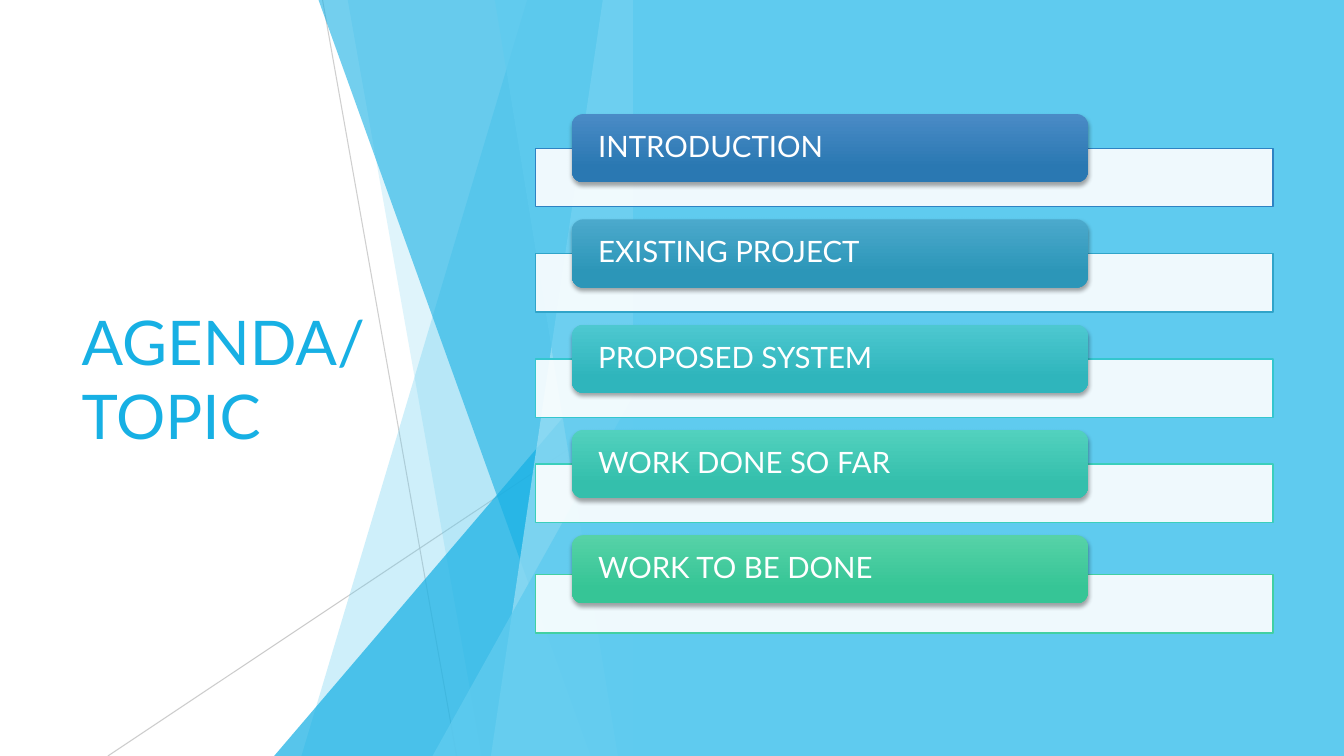
from lxml import etree
from pptx import Presentation
from pptx.dml.color import RGBColor
from pptx.enum.shapes import MSO_CONNECTOR, MSO_SHAPE
from pptx.enum.text import MSO_ANCHOR, PP_ALIGN
from pptx.oxml.ns import qn
from pptx.util import Pt

STRAIGHT = MSO_CONNECTOR.STRAIGHT
RECT, ROUNDED = MSO_SHAPE.RECTANGLE, MSO_SHAPE.ROUNDED_RECTANGLE
TRIANGLE = MSO_SHAPE.ISOSCELES_TRIANGLE
MIDDLE, LEFT = MSO_ANCHOR.MIDDLE, PP_ALIGN.LEFT

# Content
TITLE = "AGENDA/ TOPIC"
# topic, bar outline, tab gradient top, tab gradient bottom
TOPICS = [
    ("INTRODUCTION", "2E83C3", "4A8BC6", "2A78B2"),
    ("EXISTING PROJECT", "30A4C9", "4BA9CC", "2C96B8"),
    ("PROPOSED SYSTEM", "34C6CE", "4DC8D0", "2FB5BC"),
    ("WORK DONE SO FAR", "3BCFBB", "52D1BE", "34BFAC"),
    ("WORK TO BE DONE", "42D0A2", "56D2A7", "36C596"),
]
FONT = "Lato"
COLORS = {"sky": "5FCBEF", "blue": "17B0E4", "pale": "9FE0F5",
          "white": "FFFFFF", "gray": "BFBFBF", "shadow": "000000"}

# Geometry in points
SLIDE_W, SLIDE_H = 960, 540
PANEL_X = 452.16
# start x, start y, end x, end y, opacity
RAYS = [(230.4, 0, 326.16, 540, 75), (PANEL_X, 290.16, 77.04, 540, 80)]
# bands: top x, bottom x; wedges: left x, top y; then colour, opacity
FACETS = [
    ("band", 376.56, 215.28, "sky", 30),
    ("band", 248.4, 344.16, "sky", 20),
    ("wedge", 195.84, 239.76, "blue", 72),
    ("band", 227.52, 421.92, "blue", 60),
    ("band", 430.56, 350.64, "pale", 70),
    ("band", 353.52, 441.36, "sky", 65),
    ("wedge", 308.88, 282.96, "sky", 80),
]
BAR_X, BAR_Y, BAR_W, BAR_H = 382.3, 105.9, 527, 41.8
TAB_X, TAB_Y, TAB_W, TAB_H = 408.5, 81.5, 368.6, 48.7
ROW_PITCH = 75.2
LAST_BAR_DROP = 3.7

prs = Presentation()
prs.slide_width, prs.slide_height = Pt(SLIDE_W), Pt(SLIDE_H)
slide = prs.slides.add_slide(prs.slide_layouts[5])
shapes = slide.shapes


def set_opacity(part, percent):
    color = next(part._element.spPr.iter(qn("a:srgbClr")))
    etree.SubElement(color, qn("a:alpha"), val=str(percent * 1000))


def paint(part, color, opacity=100):
    part.shadow.inherit = False
    part.fill.solid()
    part.fill.fore_color.rgb = RGBColor.from_string(color)
    part.line.fill.background()
    if opacity < 100:
        set_opacity(part, opacity)


def add_block(kind, x, y, w, h):
    return shapes.add_shape(kind, Pt(x), Pt(y), Pt(w), Pt(h))


def write(frame, text, size, color):
    frame.text = text
    frame.word_wrap = True
    frame.vertical_anchor = MIDDLE
    paragraph = frame.paragraphs[0]
    paragraph.alignment = LEFT
    font = paragraph.runs[0].font
    font.name, font.size = FONT, Pt(size)
    font.color.rgb = RGBColor.from_string(color)
    return paragraph


# Thin rays behind the facets
for x1, y1, x2, y2, opacity in RAYS:
    ray = shapes.add_connector(STRAIGHT, Pt(x1), Pt(y1), Pt(x2), Pt(y2))
    ray.line.width = Pt(0.75)
    ray.line.color.rgb = RGBColor.from_string(COLORS["gray"])
    set_opacity(ray, opacity)
    etree.SubElement(ray._element.spPr, qn("a:effectLst"))

# Translucent facets, all ending at the panel edge
for kind, first, second, color, opacity in FACETS:
    if kind == "band":
        outline = shapes.build_freeform(Pt(first), Pt(0))
        outline.add_line_segments([(Pt(PANEL_X), Pt(0)), (Pt(PANEL_X), Pt(SLIDE_H)),
                                   (Pt(second), Pt(SLIDE_H))])
        facet = outline.convert_to_shape()
    else:
        facet = add_block(TRIANGLE, first, second, PANEL_X - first, SLIDE_H - second)
        facet.adjustments[0] = 1
    paint(facet, COLORS[color], opacity)

# Title, in front of the facets
title = shapes.title
title.left, title.top, title.width, title.height = Pt(51.1), Pt(108.7), Pt(279.4), Pt(322.6)
write(title.text_frame, TITLE, 44, COLORS["blue"])
title._element.getparent().append(title._element)

# Solid panel on the right
panel = add_block(RECT, PANEL_X, 0, SLIDE_W - PANEL_X, SLIDE_H)
paint(panel, COLORS["sky"])

# Agenda rows: a pale bar with a coloured tab over it
for row, (topic, outline_color, top_color, bottom_color) in enumerate(TOPICS):
    offset = row * ROW_PITCH
    drop = LAST_BAR_DROP if row == len(TOPICS) - 1 else 0
    bar = add_block(RECT, BAR_X, BAR_Y + offset + drop, BAR_W, BAR_H)
    paint(bar, COLORS["white"], 90)
    bar.line.color.rgb = RGBColor.from_string(outline_color)
    bar.line.width = Pt(1)

    tab = add_block(ROUNDED, TAB_X, TAB_Y + offset, TAB_W, TAB_H)
    tab.line.fill.background()
    tab.fill.gradient()
    tab.fill.gradient_angle = 270
    for stop, color, position in zip(tab.fill.gradient_stops,
                                     (top_color, bottom_color), (0, 0.78)):
        stop.color.rgb = RGBColor.from_string(color)
        stop.position = position

    tab.shadow.inherit = False
    effects = tab._element.spPr.find(qn("a:effectLst"))
    shadow = etree.SubElement(effects, qn("a:outerShdw"), blurRad=str(Pt(3)),
                              dist=str(Pt(2)), dir="5400000", rotWithShape="0")
    shade = etree.SubElement(shadow, qn("a:srgbClr"), val=COLORS["shadow"])
    etree.SubElement(shade, qn("a:alpha"), val="35000")

    frame = tab.text_frame
    frame.margin_left = frame.margin_right = Pt(16.4)
    frame.margin_top = frame.margin_bottom = 0
    write(frame, topic, 21, COLORS["white"]).line_spacing = 0.9

prs.save("out.pptx")
